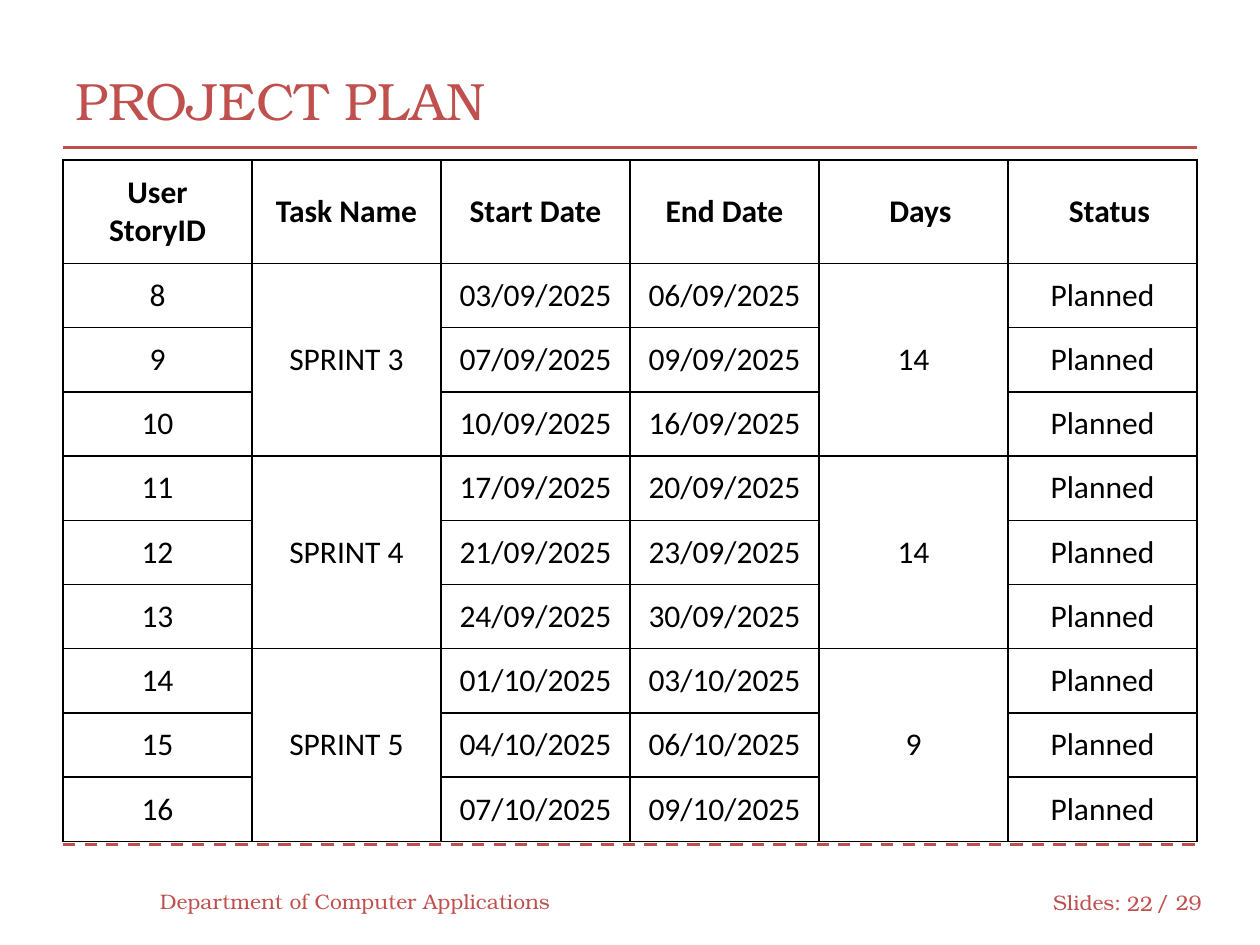
from lxml.etree import SubElement
from pptx import Presentation
from pptx.dml.color import RGBColor
from pptx.enum.dml import MSO_LINE
from pptx.enum.shapes import MSO_CONNECTOR
from pptx.enum.text import MSO_ANCHOR, PP_ALIGN
from pptx.oxml.ns import qn
from pptx.util import Inches, Pt

RED, BLACK, WHITE = "C0504D", "000000", "FFFFFF"

HEADERS = ["User\nStoryID", "Task Name", "Start Date", "End Date", "Days", "Status"]
INDENTED_HEADERS = ("Days", "Status")
FIRST_STORY = 8
# Sprint name, days, and the start and end dates of its stories
SPRINTS = [
    ("SPRINT 3", "14", [("03/09/2025", "06/09/2025"),
                        ("07/09/2025", "09/09/2025"),
                        ("10/09/2025", "16/09/2025")]),
    ("SPRINT 4", "14", [("17/09/2025", "20/09/2025"),
                        ("21/09/2025", "23/09/2025"),
                        ("24/09/2025", "30/09/2025")]),
    ("SPRINT 5", "9", [("01/10/2025", "03/10/2025"),
                       ("04/10/2025", "06/10/2025"),
                       ("07/10/2025", "09/10/2025")]),
]


def color(value):
    return RGBColor.from_string(value)


def set_borders(cell, value, width):
    properties = cell._tc.get_or_add_tcPr()
    for position, side in enumerate(("a:lnL", "a:lnR", "a:lnT", "a:lnB")):
        line = SubElement(properties, qn(side), w=str(Pt(width)))
        fill = SubElement(line, qn("a:solidFill"))
        SubElement(fill, qn("a:srgbClr"), val=value)
        properties.insert(position, line)


class PlanSlide:
    heading_font = "TeX Gyre Bonum"
    table_font = "Calibri"

    def __init__(self, presentation):
        self.slide = presentation.slides.add_slide(presentation.slide_layouts[5])

    def format_text(self, text_frame, font, size, value, bold=False, align=PP_ALIGN.LEFT):
        for paragraph in text_frame.paragraphs:
            paragraph.alignment = align
            for run in paragraph.runs:
                run.font.name = font
                run.font.size = Pt(size)
                run.font.bold = bold
                run.font.color.rgb = color(value)

    def fill_frame(self, shape, text, size, align):
        text_frame = shape.text_frame
        text_frame.text = text
        text_frame.word_wrap = True
        text_frame.vertical_anchor = MSO_ANCHOR.MIDDLE
        self.format_text(text_frame, self.heading_font, size, RED, align=align)

    def title(self, text, left, top, width, height):
        title = self.slide.shapes.title
        title.left, title.top = Inches(left), Inches(top)
        title.width, title.height = Inches(width), Inches(height)
        self.fill_frame(title, text, 30, PP_ALIGN.LEFT)

    def footer(self, text, left, top, width, align=PP_ALIGN.LEFT):
        box = self.slide.shapes.add_textbox(
            Inches(left), Inches(top), Inches(width), Inches(0.4))
        self.fill_frame(box, text, 12, align)

    def rule(self, top, dash=None):
        """Draw a horizontal line across the content width."""
        connector = self.slide.shapes.add_connector(
            MSO_CONNECTOR.STRAIGHT, Inches(0.5), Inches(top), Inches(9.5), Inches(top))
        connector.line.color.rgb = color(RED)
        connector.line.width = Pt(1.75)
        if dash:
            connector.line.dash_style = dash
        SubElement(connector._element.spPr, qn("a:effectLst"))

    def cell(self, cell, text, bold=False):
        cell.text_frame.text = text
        cell.vertical_anchor = MSO_ANCHOR.MIDDLE
        cell.margin_left = cell.margin_right = Inches(0.1)
        cell.margin_top = cell.margin_bottom = Inches(0.1)
        self.format_text(cell.text_frame, self.table_font, 18, BLACK, bold, PP_ALIGN.CENTER)

    def plan_table(self, left, top, width, header_height, row_height):
        row_count = 1 + sum(len(stories) for _, _, stories in SPRINTS)
        height = header_height + row_height * (row_count - 1)
        table = self.slide.shapes.add_table(
            row_count, len(HEADERS), Inches(left), Inches(top),
            Inches(width), Inches(height)).table
        table.horz_banding = False
        for row in table.rows:
            row.height = Inches(row_height)
        table.rows[0].height = Inches(header_height)

        for cell in table.iter_cells():
            cell.fill.solid()
            cell.fill.fore_color.rgb = color(WHITE)
            set_borders(cell, BLACK, 1)

        for column, header in enumerate(HEADERS):
            self.cell(table.cell(0, column), header, bold=True)
            if header in INDENTED_HEADERS:
                table.cell(0, column).margin_left = Inches(0.21)

        row = 1
        for sprint, days, stories in SPRINTS:
            last_row = row + len(stories) - 1
            for column, text in ((1, sprint), (4, days)):
                table.cell(row, column).merge(table.cell(last_row, column))
                self.cell(table.cell(row, column), text)
            for start, end in stories:
                story = str(FIRST_STORY + row - 1)
                for column, text in ((0, story), (2, start), (3, end), (5, "Planned")):
                    self.cell(table.cell(row, column), text)
                row += 1


def main():
    presentation = Presentation()
    presentation.slide_width, presentation.slide_height = Inches(10), Inches(7.5)

    plan = PlanSlide(presentation)
    plan.footer("Slides:", 8.26, 6.96, 0.75)
    plan.footer("/ 29", 9.08, 6.96, 0.58)
    plan.rule(6.7, MSO_LINE.DASH)
    plan.rule(1.17)
    plan.title("PROJECT PLAN", 0.5, 0.33, 9, 0.92)
    plan.footer("Department of Computer Applications", 1.17, 6.95, 3.33)
    plan.footer("22", 8.83, 6.97, 0.42, PP_ALIGN.RIGHT)
    plan.plan_table(0.5, 1.27, 9, header_height=0.82, row_height=0.51)

    presentation.save("out.pptx")


if __name__ == "__main__":
    main()
